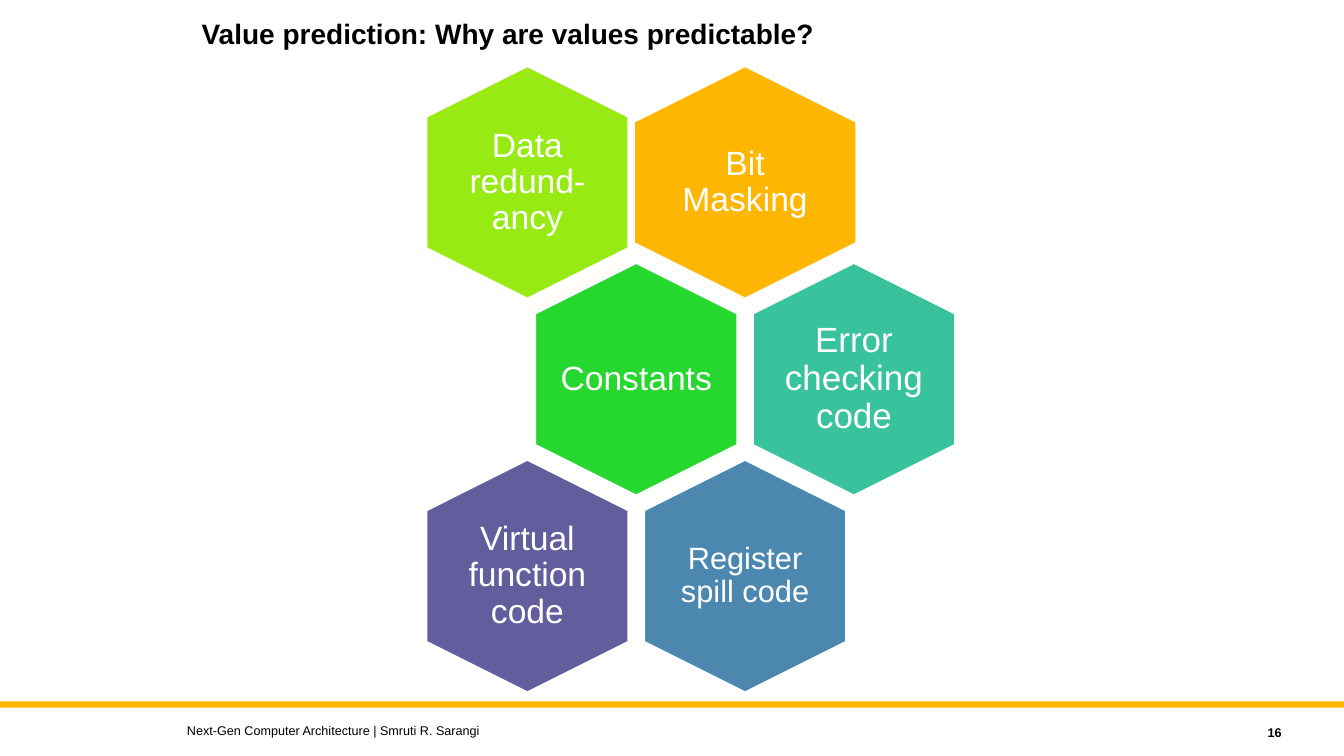
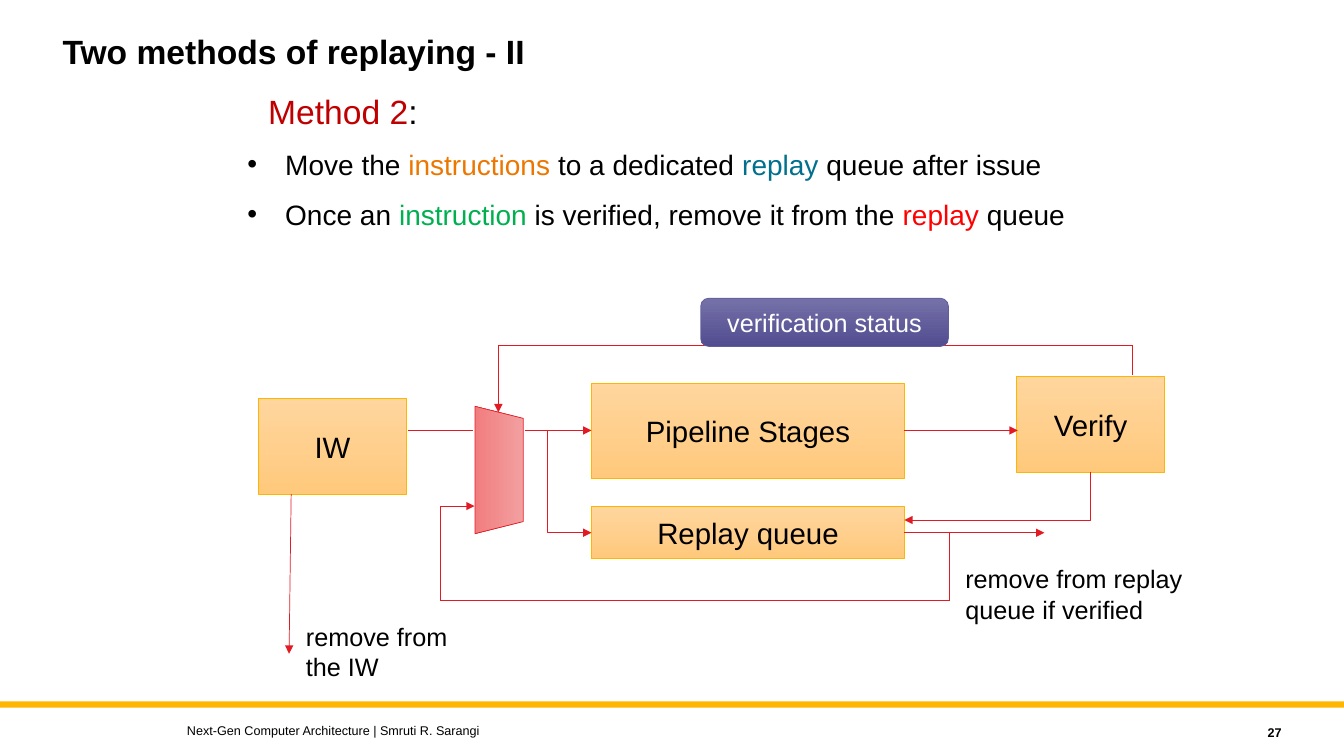
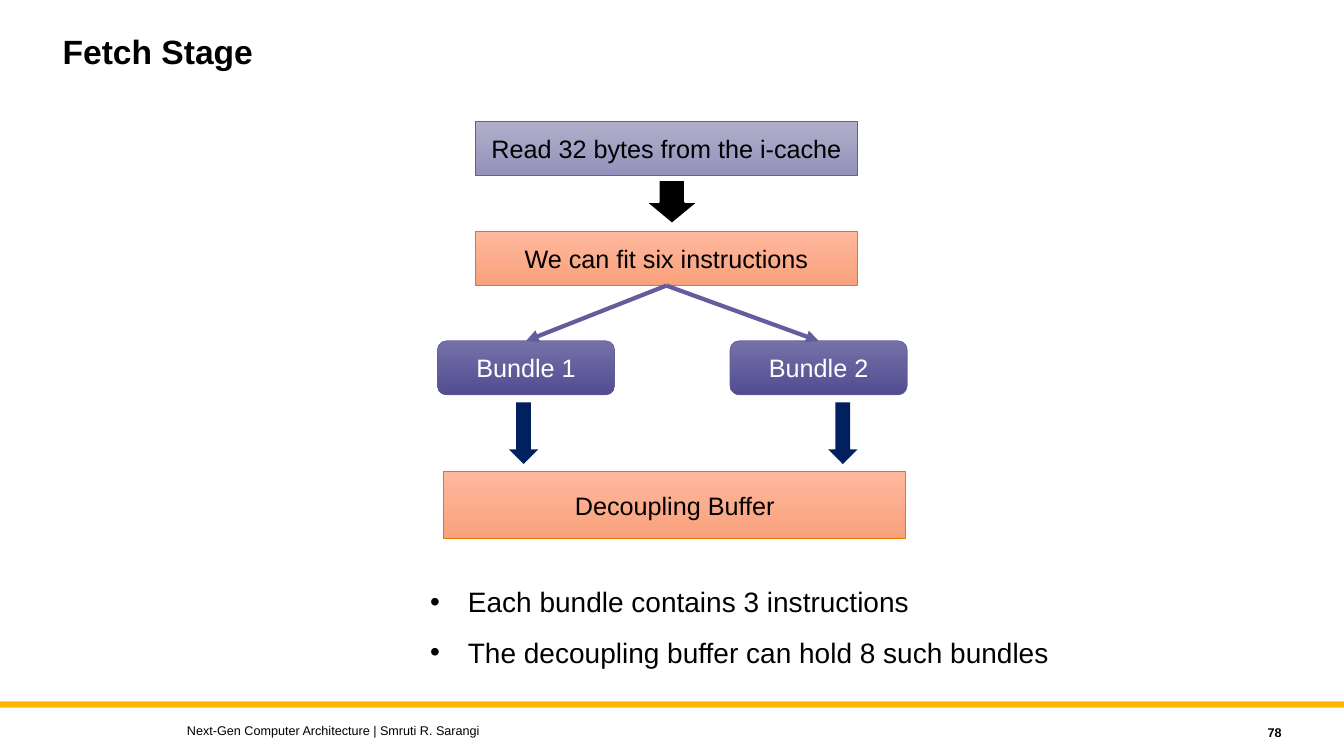
from lxml.etree import SubElement
from pptx import Presentation
from pptx.dml.color import RGBColor
from pptx.enum.shapes import MSO_CONNECTOR as LINK, MSO_SHAPE as SHAPE
from pptx.enum.text import MSO_ANCHOR as ANCHOR, MSO_AUTO_SIZE as AUTO, PP_ALIGN as ALIGN
from pptx.oxml.ns import qn
from pptx.util import Pt

COLORS = {
    "ink": "000000", "white": "FFFFFF", "gold": "FFB600", "red": "E21A23",
    "crimson": "C00000", "scarlet": "FF0000", "orange": "EC7700", "teal": "01708C",
    "green": "00B050", "navy": "002060", "violet": "625D9C", "lime": "97EB13",
    "leaf": "26D730", "mint": "38C39E", "steel": "4B87AF",
    "amber_hi": "FFD69E", "amber_lo": "FFC97C", "rose_hi": "F2A0A1", "rose_lo": "F27D7E",
    "violet_hi": "7571A8", "violet_lo": "524D90", "lilac_hi": "B0AFCA", "lilac_lo": "9492BB",
    "peach_hi": "FFB89D", "peach_lo": "F9A17C",
}
EDGES = {"amber": "gold", "rose": "red", "violet": "violet", "lilac": "violet", "peach": "orange"}
FONT = "Arial"
FOOTER = "Next-Gen Computer Architecture | Smruti R. Sarangi"
TITLE_ONLY, TITLE_BODY = 5, 1


def rgb(name):
    return RGBColor.from_string(COLORS[name])


def place(shape, x, y, w, h):
    shape.left, shape.top, shape.width, shape.height = Pt(x), Pt(y), Pt(w), Pt(h)


class Deck:
    def __init__(self):
        self.prs = Presentation()
        self.prs.slide_width, self.prs.slide_height = Pt(960), Pt(540)

    def start(self, layout, number, title, x=37.5, y=21.5, size=24):
        """Add a slide with its title, band, footer and number."""
        self.slide = self.prs.slides.add_slide(self.prs.slide_layouts[layout])
        self.shapes = self.slide.shapes
        self.shape(SHAPE.RECTANGLE, 0, 501, 960, 4.5, "gold")
        head = self.shapes.title
        place(head, x, y, 720, 64)
        self.label(head, [title], size, bold=True, space=0.9)
        self.text([FOOTER], 126.5, 512.5, 576, 18, 9, anchor=ANCHOR.MIDDLE)
        self.text([str(number)], 821.5, 514, 101, 18, 9, bold=True,
                  align=ALIGN.RIGHT, anchor=ANCHOR.MIDDLE)

    def label(self, shape, paras, size, color="ink", bold=False, align=ALIGN.LEFT,
              anchor=ANCHOR.TOP, space=1.0, bullet=False):
        """Fill a shape; a paragraph is a string or a list of (text, colour)."""
        frame = shape.text_frame
        frame.word_wrap, frame.auto_size = True, AUTO.NONE
        frame.vertical_anchor = anchor
        for i, para in enumerate(paras):
            p = frame.add_paragraph() if i else frame.paragraphs[0]
            p.alignment, p.line_spacing = align, space
            p.space_before = Pt(12 if bullet and i else 0)
            if bullet:
                props = p._p.get_or_add_pPr()
                props.set("marL", str(Pt(27)))
                props.set("indent", str(-Pt(27)))
                SubElement(props, qn("a:buChar"), char="•")
            p.font.name, p.font.size, p.font.bold = FONT, Pt(size), bold
            p.font.color.rgb = rgb(color)
            if isinstance(para, str):
                para = [(para, color)]
            for words, hue in para:
                run = p.add_run()
                run.text = words
                if hue != color:
                    run.font.color.rgb = rgb(hue)

    def text(self, paras, x, y, w, h, size, inset=None, **style):
        box = self.shapes.add_textbox(Pt(x), Pt(y), Pt(w), Pt(h))
        if inset is not None:
            frame = box.text_frame
            frame.margin_left = frame.margin_right = Pt(inset)
            frame.margin_top = frame.margin_bottom = Pt(inset)
        self.label(box, paras, size, **style)

    def points(self, paras, x, y, w, h):
        body = self.slide.placeholders[1]
        place(body, x, y, w, h)
        self.label(body, paras, 20, bullet=True)

    def shape(self, kind, x, y, w, h, fill, edge=None, width=1):
        shape = self.shapes.add_shape(kind, Pt(x), Pt(y), Pt(w), Pt(h))
        shape.shadow.inherit = False
        if fill in COLORS:
            shape.fill.solid()
            shape.fill.fore_color.rgb = rgb(fill)
        if edge:
            shape.line.color.rgb = rgb(edge)
            shape.line.width = Pt(width)
        else:
            shape.line.fill.background()
        return shape

    def shade(self, kind, x, y, w, h, hue):
        """Add a shape with a gradient from light at the top to dark."""
        shape = self.shape(kind, x, y, w, h, None, EDGES[hue], 0.5)
        shape.fill.gradient()
        shape.fill.gradient_angle = 270
        for stop, end in zip(shape.fill.gradient_stops, ("hi", "lo")):
            stop.color.rgb = rgb(f"{hue}_{end}")
        return shape

    def box(self, name, x, y, w, h, hue, size=18, kind=SHAPE.RECTANGLE):
        shape = self.shade(kind, x, y, w, h, hue)
        color = "white" if hue == "violet" else "ink"
        self.label(shape, [name], size, color, align=ALIGN.CENTER, anchor=ANCHOR.MIDDLE)

    def pill(self, name, x, y, w, h):
        self.box(name, x, y, w, h, "violet", kind=SHAPE.ROUNDED_RECTANGLE)

    def hexa(self, name, x, y, fill, size=24, width=144):
        """Add a pointed-top hexagon centred on x, y."""
        tall = 165.6
        hexa = self.shape(SHAPE.HEXAGON, x - tall / 2, y - width / 2, tall, width, fill, "white")
        hexa.rotation = 90
        hexa.adjustments[0] = 0.25
        self.text([name], x - 56, y - 57, 112, 114, size, 0, color="white",
                  align=ALIGN.CENTER, anchor=ANCHOR.MIDDLE, space=0.9)

    def line(self, start, end, tip="a:tailEnd", color="red", width=0.5, kind=LINK.STRAIGHT):
        link = self.shapes.add_connector(kind, *map(Pt, start + end))
        link.line.color.rgb = rgb(color)
        link.line.width = Pt(width)
        props = link._element.spPr
        if tip:
            SubElement(props.find(qn("a:ln")), qn(tip), type="triangle")
        SubElement(props, qn("a:effectLst"))
        return link

    def elbow(self, start, end):
        """Go up or down from start, then sideways to an arrowhead at end."""
        link = self.line(end, start, "a:headEnd", kind=LINK.ELBOW)
        link._element.spPr.find(qn("a:prstGeom")).set("prst", "bentConnector2")


def values(deck):
    deck.start(TITLE_ONLY, 16, "Value prediction: Why are values predictable?", 136.8, 11, 20)
    cells = [
        (0, 1, "Bit Masking", "gold", 24, 158.4),
        (0, 0, "Data redund-ancy", "lime", 24, 144),
        (1, 0, "Constants", "leaf", 24, 144),
        (1, 1, "Error checking code", "mint", 25, 144),
        (2, 1, "Register spill code", "steel", 22, 144),
        (2, 0, "Virtual function code", "violet", 24, 144),
    ]
    for row, col, name, fill, size, width in cells:
        x = 376.7 + 155.5 * (col + row % 2 / 2)
        deck.hexa(name, x, 130.3 + 140.6 * row, fill, size, width)


def replay(deck):
    deck.start(TITLE_BODY, 27, "Two methods of replaying - II")
    deck.points([
        [("Move the ", "ink"), ("instructions", "orange"), (" to a dedicated ", "ink"),
         ("replay", "teal"), (" queue after issue", "ink")],
        [("Once an ", "ink"), ("instruction", "green"),
         (" is verified, remove it from the ", "ink"), ("replay", "scarlet"), (" queue", "ink")],
    ], 169.5, 101.5, 620, 68)
    deck.text([[("Method 2", "crimson"), (":", "ink")]], 184.5, 61.5, 149, 36, 24)

    main_y, back, top, low = 307.5, 380.5, 247, 429
    deck.box("IW", 184.5, 284.5, 106, 68.5, "amber", 21)
    deck.box("Pipeline Stages", 422.5, 273.5, 223.5, 68.5, "amber", 21)
    deck.box("Replay queue", 422.5, 361.5, 223.5, 37.5, "amber", 21)
    deck.box("Verify", 726, 269, 106, 68.5, "amber", 21)
    mux = deck.shade(SHAPE.TRAPEZOID, 311, 318.5, 91, 34.5, "rose")
    mux.rotation = 90

    deck.line((291.5, main_y), (338, main_y), None)
    deck.line((375, main_y), (422.5, main_y))
    deck.line((646, main_y), (727, main_y))
    deck.line((646, back), (746, back))
    deck.elbow((391, main_y), (422.5, back))
    deck.elbow((779, 337.5), (646, 371.5))
    deck.line((208, 353), (206.5, 467))

    loop = [(678.5, back), (678.5, low), (314.5, low), (314.5, 361.5), (339, 361.5)]
    status = [(809, 268), (809, top), (356, top), (356, 294.5)]
    for route in (loop, status):
        for start, end in zip(route, route[1:]):
            deck.line(start, end, "a:tailEnd" if end == route[-1] else None)
    deck.pill("verification status", 500.5, 213, 177, 34.5)
    deck.text(["remove from", "the IW"], 211.5, 440, 122, 51, 18)
    deck.text(["remove from replay", "queue if verified"], 682.5, 399, 175, 51, 18)


def fetch(deck):
    deck.start(TITLE_BODY, 78, "Fetch Stage")
    deck.points(["Each bundle contains 3 instructions",
                 "The decoupling buffer can hold 8 such bundles"], 300, 414, 540, 65)
    deck.box("Read 32 bytes from the i-cache", 339.5, 86.5, 273, 38.5, "lilac")
    deck.shape(SHAPE.DOWN_ARROW, 461, 128.5, 38, 31.5, "ink", "white", 1.5)
    deck.box("We can fit six instructions", 339.5, 165.5, 273, 38.5, "peach")
    for n, x, tip in ((1, 312.5, 363.5), (2, 521.5, 591.5)):
        deck.pill(f"Bundle {n}", x, 243.5, 126.5, 38.5)
        deck.line((476, 204), (x + 63.25, 243.5), color="violet", width=3)
        deck.shape(SHAPE.DOWN_ARROW, tip, 287.5, 21, 44, "navy")
    deck.box("Decoupling Buffer", 317, 337, 330, 47.5, "peach")


def main():
    deck = Deck()
    for build in (values, replay, fetch):
        build(deck)
    deck.prs.save("out.pptx")


if __name__ == "__main__":
    main()
